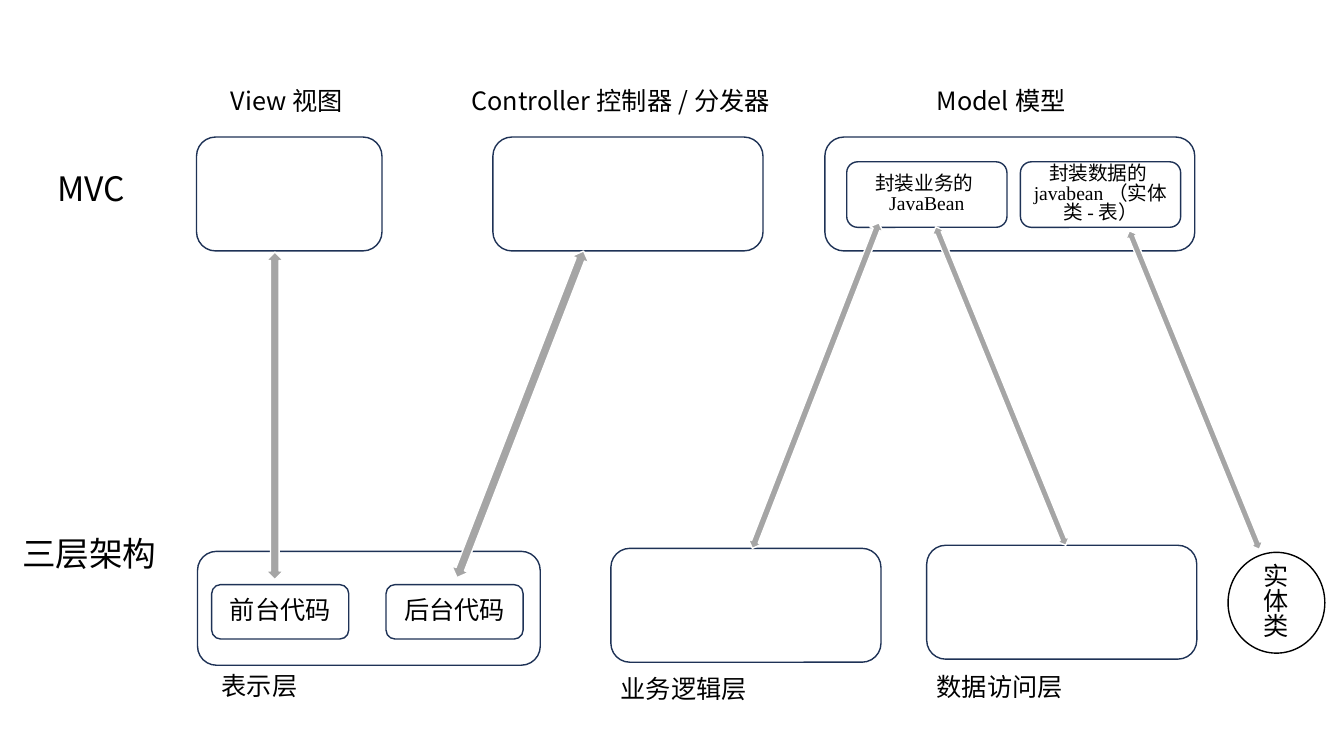
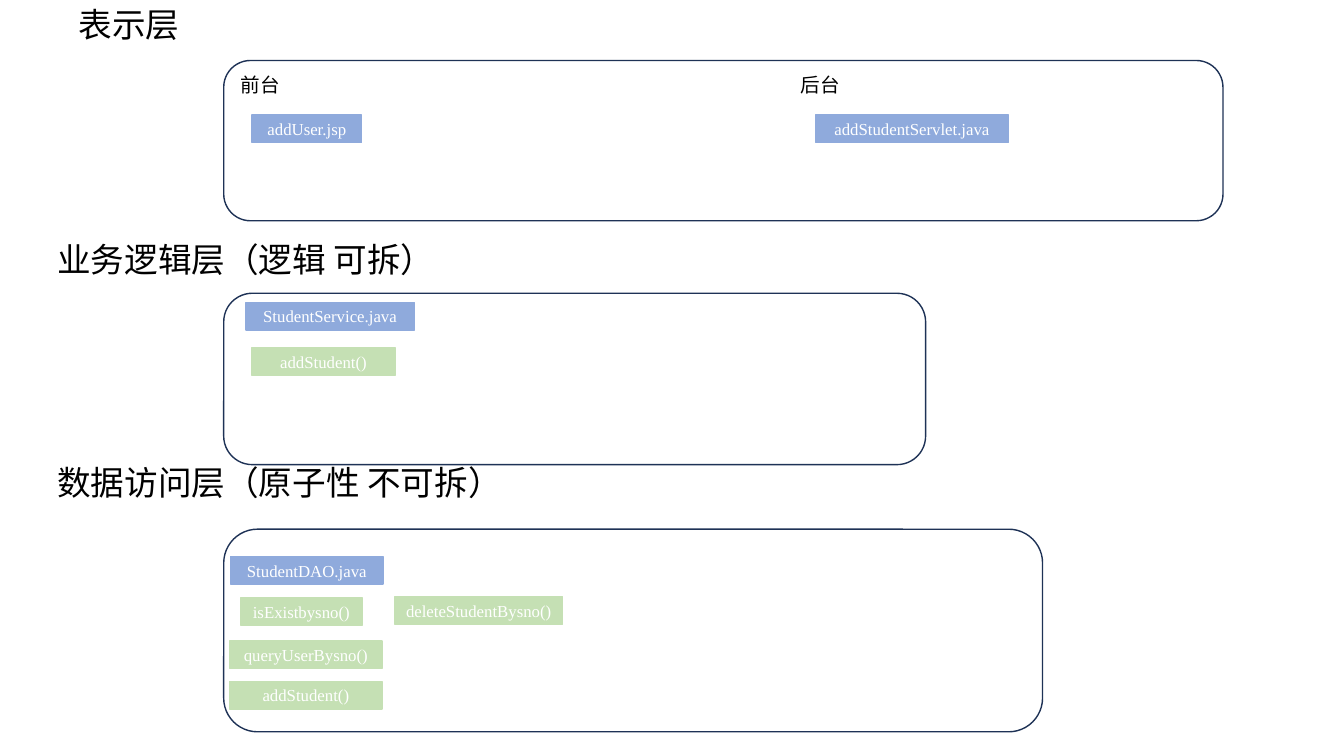
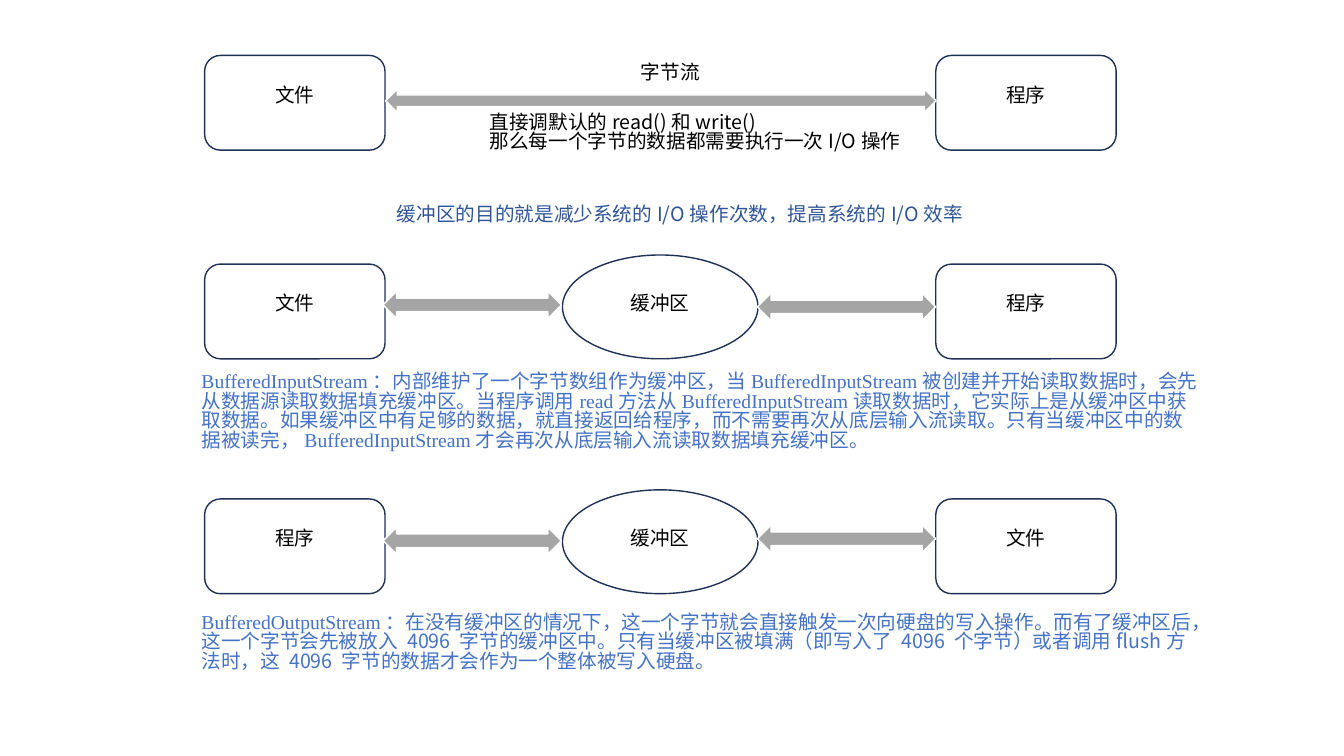
import itertools
import math
from dataclasses import dataclass

import pptx
import pptx.dml.color
import pptx.enum.shapes
import pptx.enum.text
import pptx.oxml
import pptx.oxml.ns
import pptx.util

SHAPES = pptx.enum.shapes.MSO_SHAPE
ALIGN = pptx.enum.text.PP_ALIGN
ANCHOR = pptx.enum.text.MSO_ANCHOR
AUTO_SIZE = pptx.enum.text.MSO_AUTO_SIZE


@dataclass(frozen=True)
class Theme:
    width: float = 13.33
    height: float = 7.5
    columns: int = 40
    rows: int = 30
    sans: str = "Noto Sans CJK SC"
    serif: str = "Times New Roman"
    paper: str = "FFFFFF"
    ink: str = "000000"
    outline: str = "1E3256"
    arrow: str = "A5A5A5"
    file: str = "8FAADC"
    method: str = "C5E0B4"
    summary: str = "2F5597"
    note: str = "4472C4"
    heading: int = 24
    label: int = 18
    body: int = 14
    tag: int = 12
    line: int = 1
    leading: float = 0.83


def color(value):
    return pptx.dml.color.RGBColor.from_string(value)


def set_format(target, values):
    for name, value in values.items():
        setattr(target, name, value)


class Deck:
    def __init__(self, theme):
        self.theme = theme
        self.presentation = pptx.Presentation()
        set_format(self.presentation, {
            "slide_width": pptx.util.Inches(theme.width),
            "slide_height": pptx.util.Inches(theme.height),
        })
        self.column = self.presentation.slide_width / theme.columns
        self.row = self.presentation.slide_height / theme.rows
        self.slide = None

    def new_slide(self):
        self.slide = self.presentation.slides.add_slide(self.presentation.slide_layouts[6])

    def place(self, left, top, width, height):
        return (round(left * self.column), round(top * self.row),
                round(width * self.column), round(height * self.row))

    def fill_text(self, shape, paragraphs, size, ink, fonts, align, leading):
        frame = shape.text_frame
        frame.word_wrap = True
        for index, pieces in enumerate(paragraphs):
            paragraph = frame.add_paragraph() if index else frame.paragraphs[0]
            set_format(paragraph, {"alignment": align, "line_spacing": leading})
            for piece, font in zip(pieces, itertools.cycle(fonts)):
                run = paragraph.add_run()
                run.text = piece
                set_format(run.font, {"name": font, "size": pptx.util.Pt(size)})
                run.font.color.rgb = color(ink)
                east_asian = pptx.oxml.parse_xml(
                    f'<a:ea {pptx.oxml.ns.nsdecls("a")} typeface="{self.theme.sans}"/>')
                properties = run._r.get_or_add_rPr()
                properties.find(pptx.oxml.ns.qn("a:latin")).addnext(east_asian)

    def text(self, box, paragraphs, size, ink=None, fonts=None, align=ALIGN.LEFT):
        theme = self.theme
        if isinstance(paragraphs, str):
            paragraphs = [[paragraphs]]
        shape = self.slide.shapes.add_textbox(*self.place(*box))
        self.fill_text(shape, paragraphs, size, ink or theme.ink, fonts or [theme.sans],
                       align, theme.leading)
        shape.text_frame.auto_size = AUTO_SIZE.SHAPE_TO_FIT_TEXT

    def paint(self, shape, fill, line):
        shape.shadow.inherit = False
        shape.fill.solid()
        shape.fill.fore_color.rgb = color(fill)
        shape.line.color.rgb = color(line)
        shape.line.width = pptx.util.Pt(self.theme.line)

    def panel(self, box, label="", size=0, font=None, kind=SHAPES.ROUNDED_RECTANGLE, line=None):
        theme = self.theme
        shape = self.slide.shapes.add_shape(kind, *self.place(*box))
        self.paint(shape, theme.paper, line or theme.outline)
        if label:
            self.fill_text(shape, [[label]], size, theme.ink, [font or theme.serif],
                           ALIGN.CENTER, theme.leading)
            shape.text_frame.vertical_anchor = ANCHOR.MIDDLE

    def tag(self, left, top, width, label, fill):
        shape = self.slide.shapes.add_shape(
            SHAPES.RECTANGLE, *self.place(left, top, width, 1.1))
        self.paint(shape, fill, fill)
        self.fill_text(shape, [[label]], self.theme.tag, self.theme.paper, [self.theme.serif],
                       ALIGN.CENTER, 1.0)
        shape.text_frame.vertical_anchor = ANCHOR.MIDDLE

    def node(self, box, label, label_drop, label_width, kind=SHAPES.ROUNDED_RECTANGLE):
        left, top, width, height = box
        self.panel(box, kind=kind)
        label_left = left + (width - label_width) / 2
        self.text((label_left, top + label_drop, label_width, 1.36), label,
                  self.theme.body, align=ALIGN.CENTER)

    def arrow(self, start, end, thickness):
        x1, x2 = start[0] * self.column, end[0] * self.column
        y1, y2 = start[1] * self.row, end[1] * self.row
        length = math.hypot(x2 - x1, y2 - y1)
        width = thickness * self.column
        shape = self.slide.shapes.add_shape(
            SHAPES.UP_DOWN_ARROW, round((x1 + x2 - width) / 2),
            round((y1 + y2 - length) / 2), round(width), round(length))
        shape.rotation = math.degrees(math.atan2(x2 - x1, y1 - y2))
        self.paint(shape, self.theme.arrow, self.theme.paper)


def architecture_slide(deck):
    theme = deck.theme
    deck.new_slide()
    for left, top, label in [(1.41, 6.72, "MVC"), (0.36, 21.24, "三层架构")]:
        deck.text((left, top, 4.62, 2), label, theme.heading)

    for left, width, label_left, label_width, label in [
        (5.85, 5.52, 6.57, 4.62, "View视图"),
        (14.67, 8.04, 13.74, 10.8, "Controller控制器/分发器"),
        (24.55, 11.01, 27.58, 6.54, "Model模型"),
    ]:
        deck.panel((left, 5.44, width, 4.52))
        deck.text((label_left, 3.4, label_width, 1.6), label, theme.label)

    for left, top, width, label_left, label_top, label in [
        (5.88, 21.88, 10.2, 6.3, 26.6, "表示层"),
        (18.18, 21.76, 8.04, 18.18, 26.72, "业务逻辑层"),
        (27.58, 21.64, 8.04, 27.58, 26.64, "数据访问层"),
    ]:
        deck.panel((left, top, width, 4.52))
        deck.text((label_left, label_top, 4.62, 1.6), label, theme.label)

    for left, label in [(6.3, "前台代码"), (11.49, "后台代码")]:
        deck.panel((left, 23.2, 4.08, 2.16), label, theme.label)
    for left, label in [(25.2, "封装业务的JavaBean"), (30.37, "封装数据的javabean（实体类-表）")]:
        deck.panel((left, 6.42, 4.77, 2.6), label, theme.body)
    deck.panel((36.55, 21.92, 2.88, 4), "实体类", theme.label, theme.sans,
               SHAPES.OVAL, theme.ink)

    for start, end, thickness in [
        ((8.18, 23), (8.18, 10), 0.51),
        ((13.6, 22.92), (17.37, 9.96), 0.54),
        ((22.39, 21.76), (26.16, 8.84), 0.42),
        ((31.72, 21.64), (27.85, 9), 0.39),
        ((37.48, 21.8), (33.61, 9.16), 0.39),
    ]:
        deck.arrow(start, end, thickness)


def layers_slide(deck):
    theme = deck.theme
    deck.new_slide()
    for top, width, height, label_left, label_top, label_width, label in [
        (2.4, 29.74, 6.36, 2.04, 0.24, 4.62, "表示层"),
        (11.64, 20.89, 6.8, 1.41, 9.56, 16.68, "业务逻辑层（逻辑 可拆）"),
        (21, 24.37, 8.04, 1.41, 18.4, 16.68, "数据访问层（原子性 不可拆）"),
    ]:
        deck.panel((6.66, top, width, height))
        deck.text((label_left, label_top, label_width, 2), label, theme.heading)

    for left, label in [(6.87, "前台"), (23.53, "后台")]:
        deck.text((left, 2.84, 3.87, 1.36), label, theme.body)

    for left, top, width, label in [
        (7.5, 4.56, 3.27, "addUser.jsp"),
        (24.28, 4.56, 5.73, "addStudentServlet.java"),
        (7.32, 12, 5.01, "StudentService.java"),
        (6.87, 22.08, 4.53, "StudentDAO.java"),
    ]:
        deck.tag(left, top, width, label, theme.file)
    for left, top, width, label in [
        (7.5, 13.8, 4.26, "addStudent()"),
        (7.17, 23.72, 3.6, "isExistbysno()"),
        (11.76, 23.68, 4.98, "deleteStudentBysno()"),
        (6.84, 25.44, 4.53, "queryUserBysno()"),
        (6.84, 27.04, 4.53, "addStudent()"),
    ]:
        deck.tag(left, top, width, label, theme.method)


def buffer_slide(deck):
    theme = deck.theme
    deck.new_slide()
    for top, labels in [(2.2, ("文件", "程序")), (10.48, ("文件", "程序")),
                        (19.8, ("程序", "文件"))]:
        for left, label in zip((6.09, 27.85), labels):
            deck.node((left, top, 5.37, 3.76), label, 1.04, 1.8)

    deck.arrow((11.48, 4), (27.86, 4), 0.69)
    for top, left_row, right_row in [(10.12, 12.1, 12.18), (19.44, 21.46, 21.38)]:
        deck.node((16.74, top, 5.82, 4.12), "缓冲区", 1.4, 2.58, SHAPES.OVAL)
        deck.arrow((11.4, left_row), (16.71, left_row), 0.81)
        deck.arrow((22.54, right_row), (27.85, right_row), 0.81)

    deck.text((18.78, 2.32, 2.97, 1.36), "字节流", theme.body)
    deck.text((14.28, 4.32, 14.31, 2.28),
              [["直接调默认的read()和write()"], ["那么每一个字节的数据都需要执行一次I/O操作"]],
              theme.body)
    deck.text((11.52, 7.96, 17.49, 1.36),
              "缓冲区的目的就是减少系统的I/O操作次数，提高系统的I/O效率",
              theme.body, theme.summary)

    input_note = [
        "BufferedInputStream：", "内部维护了一个字节数组作为缓冲区，当",
        "BufferedInputStream", "被创建并开始读取数据时，会先从数据源读取数据填充缓冲区。当程序调用",
        "read", "方法从",
        "BufferedInputStream",
        "读取数据时，它实际上是从缓冲区中获取数据。如果缓冲区中有足够的数据，就直接返回给程序，"
        "而不需要再次从底层输入流读取。只有当缓冲区中的数据被读完，",
        "BufferedInputStream", "才会再次从底层输入流读取数据填充缓冲区。",
    ]
    output_note = [
        "BufferedOutputStream：",
        "在没有缓冲区的情况下，这一个字节就会直接触发一次向硬盘的写入操作。而有了缓冲区后，"
        "这一个字节会先被放入 4096 字节的缓冲区中。只有当缓冲区被填满（即写入了 4096 个字节）"
        "或者调用flush方法时，这 4096 字节的数据才会作为一个整体被写入硬盘。",
    ]
    for top, height, note in [(14.6, 4.16, input_note), (24.16, 3.24, output_note)]:
        deck.text((5.7, top, 30.37, height), [note], theme.body, theme.note,
                  [theme.serif, theme.sans])


def main():
    deck = Deck(Theme())
    architecture_slide(deck)
    layers_slide(deck)
    buffer_slide(deck)
    deck.presentation.save("out.pptx")


if __name__ == "__main__":
    main()
